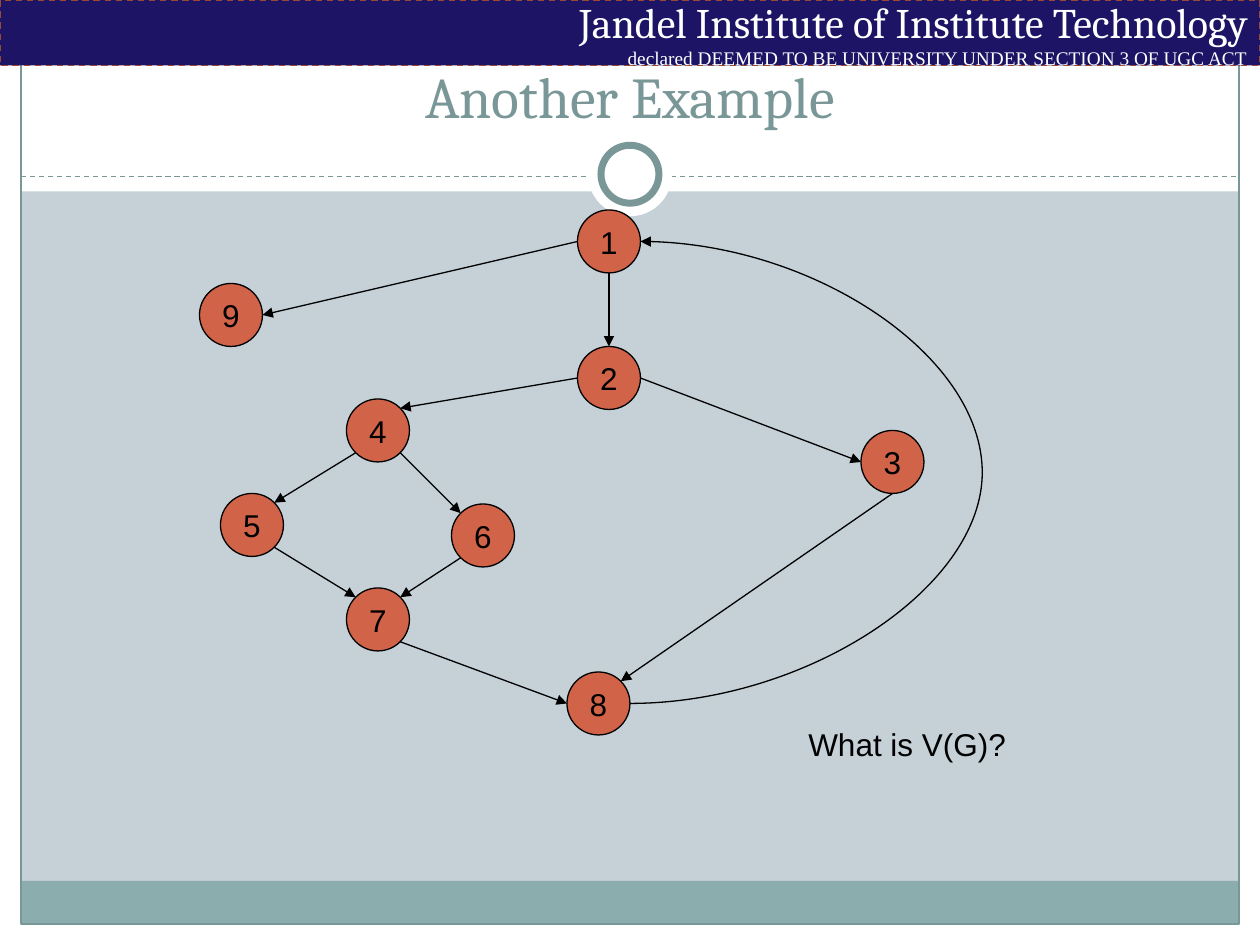
import collections
import math

import lxml.etree
import pptx
import pptx.dml.color
import pptx.enum.dml
import pptx.enum.shapes
import pptx.enum.text
import pptx.oxml.ns
import pptx.util

Box = collections.namedtuple("Box", "left top width height")
SHAPE = pptx.enum.shapes.MSO_SHAPE
CONNECTOR = pptx.enum.shapes.MSO_CONNECTOR
ALIGN = pptx.enum.text.PP_ALIGN
ANCHOR = pptx.enum.text.MSO_ANCHOR

UNIT = pptx.util.Inches(1) / 12
SLIDE = Box(0, 0, 120, 90)
COLORS = {
    "page": "C5D1D7", "white": "FFFFFF", "footer": "8CADAE", "trim": "7A9798",
    "header": "1E1466", "header_edge": "984835", "node": "D16349", "ink": "000000",
}
NODE_SIZE = 6
NODES = {
    "1": (39, 3), "2": (39, 16), "3": (66, 24), "4": (17, 21), "5": (5, 30),
    "6": (27, 31), "7": (17, 39), "8": (38, 47), "9": (3, 10),
}
ANGLES = {"E": 0, "SE": 45, "S": 90, "SW": 135, "W": 180, "NW": 225, "N": 270, "NE": 315}
EDGES = [
    ("1", "S", "2", "N"), ("2", "E", "3", "W"), ("2", "W", "4", "NE"),
    ("3", "S", "8", "NE"), ("7", "SE", "8", "W"), ("4", "SW", "5", "NE"),
    ("5", "SE", "7", "NW"), ("4", "SE", "6", "NW"), ("6", "SW", "7", "NE"),
    ("1", "W", "9", "E"),
]


def grid(*values):
    """Turn grid units into slide lengths."""
    return [pptx.util.Emu(round(value * UNIT)) for value in values]


def rgb(name):
    """Look up a named colour."""
    return pptx.dml.color.RGBColor.from_string(COLORS[name])


def style_line(line, color, width=0.75, dashed=False):
    """Set colour, width and dash of a line."""
    line.color.rgb = rgb(color)
    line.width = pptx.util.Pt(width)
    if dashed:
        line.dash_style = pptx.enum.dml.MSO_LINE.DASH


def add_block(page, kind, box, fill=None, line=None, **line_format):
    """Add a flat shape with optional fill and outline."""
    shape = page.shapes.add_shape(kind, *grid(*box))
    shape.shadow.inherit = False
    if fill:
        shape.fill.solid()
        shape.fill.fore_color.rgb = rgb(fill)
    else:
        shape.fill.background()
    if line:
        style_line(shape.line, line, **line_format)
    else:
        shape.line.fill.background()
    return shape


def write_text(shape, text, font="Arial", size=18, color="ink", align=ALIGN.CENTER,
               anchor=ANCHOR.MIDDLE, wrap=True):
    """Write one paragraph after any text the shape already has."""
    frame = shape.text_frame
    frame.word_wrap = wrap
    frame.vertical_anchor = anchor
    para = frame.add_paragraph() if frame.text else frame.paragraphs[0]
    para.alignment = align
    span = para.add_run()
    span.text = text
    span.font.name = font
    span.font.size = pptx.util.Pt(size)
    span.font.color.rgb = rgb(color)


def add_line(page, start, end, kind=CONNECTOR.STRAIGHT, color="ink", arrow=True, dashed=False):
    """Add a connector between two grid points."""
    line = page.shapes.add_connector(kind, *grid(*start, *end))
    style_line(line.line, color, dashed=dashed)
    if arrow:
        head = lxml.etree.SubElement(line.line._get_or_add_ln(), pptx.oxml.ns.qn("a:tailEnd"))
        head.set("type", "triangle")
    lxml.etree.SubElement(line._element.spPr, pptx.oxml.ns.qn("a:effectLst"))
    return line


def draw_frame(page, box):
    """Draw margins, footer band, border, divider and ring."""
    left, top, width, height = box
    margin = 2
    right, bottom = left + width - margin, top + height - margin
    inner = width - 2 * margin
    middle = left + width / 2
    for edge in (
        Box(left, bottom, width, margin),
        Box(left, top, width, 18.24),
        Box(left, top, margin, height),
        Box(right, top, margin, height),
    ):
        add_block(page, SHAPE.RECTANGLE, edge, fill="white")
    add_block(page, SHAPE.RECTANGLE, Box(left + margin, bottom - 4.1, inner, 4.1), fill="footer")
    border = Box(left + margin, top + margin, inner, height - 2 * margin)
    add_block(page, SHAPE.RECTANGLE, border, line="trim")
    divider = top + 16.8
    add_line(page, (left + margin, divider), (right, divider), color="trim",
             arrow=False, dashed=True)
    for size, outline in ((8, None), (5.52, "trim")):
        ring = Box(middle - size / 2, top + 16.6 - size / 2, size, size)
        add_block(page, SHAPE.OVAL, ring, fill="white", line=outline, width=4)


def draw_header(page, box):
    """Draw the institute banner."""
    banner = add_block(page, SHAPE.RECTANGLE, box, fill="header", line="header_edge",
                       width=0.9, dashed=True)
    write_text(banner, "Jandel Institute of Institute Technology", font="Cambria",
               size=24, color="white", align=ALIGN.RIGHT)
    write_text(banner, "declared DEEMED TO BE UNIVERSITY UNDER SECTION 3 OF UGC ACT",
               font="Times New Roman", size=11, color="white", align=ALIGN.RIGHT)


def draw_label(page, box, text, **text_format):
    """Place a text box."""
    write_text(page.shapes.add_textbox(*grid(*box)), text, **text_format)


def draw_graph(page, box):
    """Draw the flow graph with its nodes, edges and loop back."""
    centers = {name: (box.left + x, box.top + y) for name, (x, y) in NODES.items()}
    radius = NODE_SIZE / 2

    def rim(name, side):
        """Find the point of a node's rim on one side."""
        angle = math.radians(ANGLES[side])
        x, y = centers[name]
        return x + radius * math.cos(angle), y + radius * math.sin(angle)

    for name, (x, y) in centers.items():
        node = add_block(page, SHAPE.OVAL, Box(x - radius, y - radius, NODE_SIZE, NODE_SIZE),
                         fill="node", line="ink")
        write_text(node, name)
    for source, leave, target, enter in EDGES:
        add_line(page, rim(source, leave), rim(target, enter))

    start, end = rim("8", "E"), rim("1", "E")
    loop = add_line(page, start, end, kind=CONNECTOR.CURVE)
    bulge = (box.left + box.width - start[0]) / (end[0] - start[0])
    guides = loop._element.spPr.prstGeom.get_or_add_avLst()
    guide = lxml.etree.SubElement(guides, pptx.oxml.ns.qn("a:gd"))
    guide.set("name", "adj1")
    guide.set("fmla", f"val {round(bulge * 100000)}")


def main():
    """Build and save the slide."""
    deck = pptx.Presentation()
    deck.slide_width, deck.slide_height = grid(SLIDE.width, SLIDE.height)
    page = deck.slides.add_slide(deck.slide_layouts[6])
    page.background.fill.solid()
    page.background.fill.fore_color.rgb = rgb("page")
    draw_frame(page, SLIDE)
    draw_header(page, Box(0, 0, SLIDE.width, 6.24))
    draw_label(page, Box(4, 3, 112, 10), "Another Example", font="Cambria", size=33,
               color="trim", anchor=ANCHOR.BOTTOM)
    draw_graph(page, Box(19, 20, 74.5, 50))
    draw_label(page, Box(75.8, 68.5, 21.2, 4.8), "What is V(G)?", align=ALIGN.LEFT,
               anchor=ANCHOR.TOP, wrap=False)
    deck.save("out.pptx")


if __name__ == "__main__":
    main()
